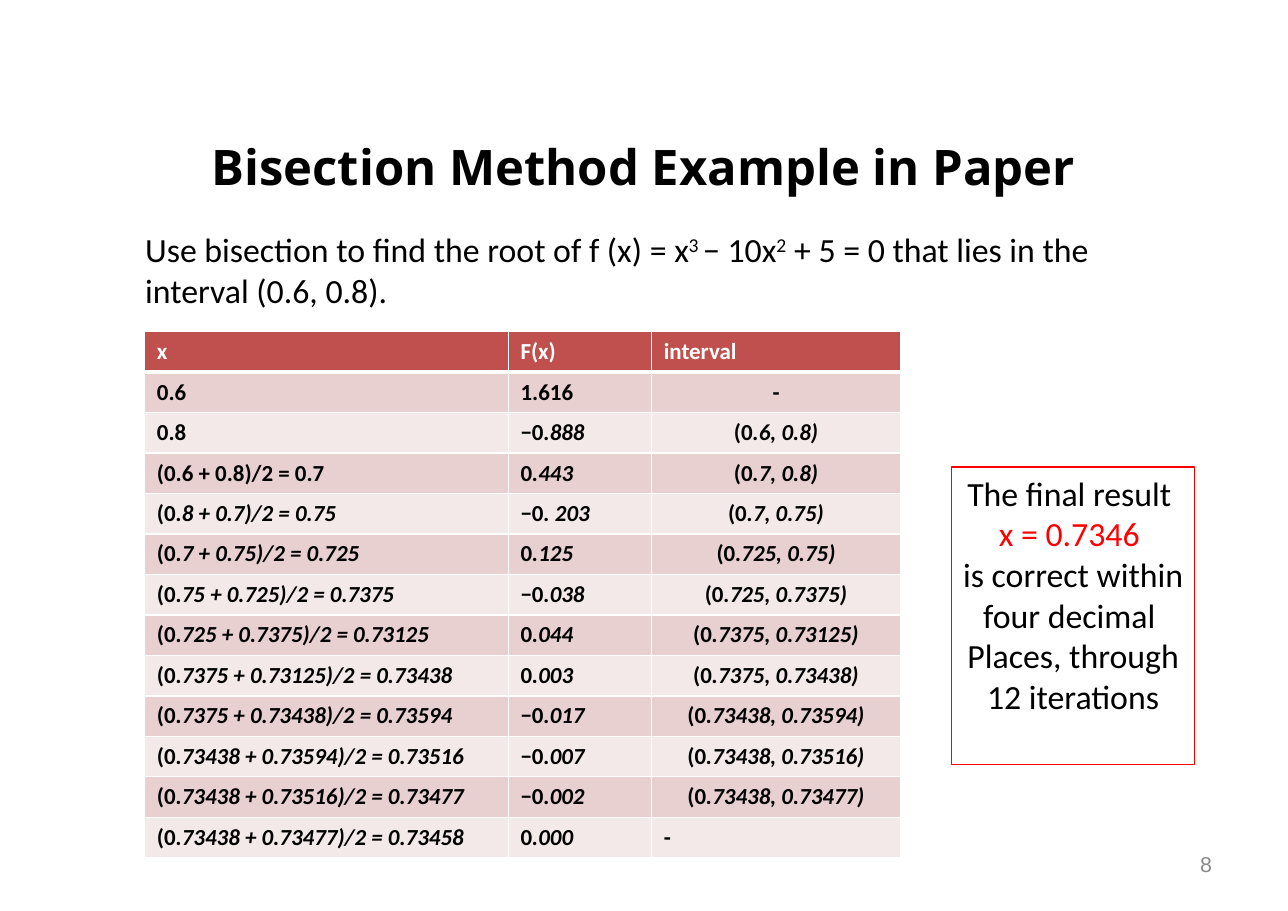
from lxml.etree import SubElement
from pptx import Presentation
from pptx.dml.color import RGBColor
from pptx.enum.shapes import MSO_SHAPE as Preset
from pptx.enum.text import MSO_ANCHOR as Anchor, PP_ALIGN as Align
from pptx.oxml.ns import qn
from pptx.util import Pt

TITLE = dict(name="Open Sans", size=Pt(32), bold=True, color="000000")
BODY = dict(name="Calibri", size=Pt(22.1), color="000000")
CELL = dict(name="Calibri", size=Pt(15), bold=True, color="000000")
PAGE = dict(name="Arial", size=Pt(14), color="898989")
HEADER = CELL | dict(color="FFFFFF")
RESULT = BODY | dict(color="FF0000")

COLUMN_WIDTHS = 237.6, 93.6, 162.7
ROW_HEIGHT = 26.46
HEADER_FILL = "C0504D"
BAND_FILLS = "F4E9E9", "E8D0D0"
UPRIGHT = {"0.6", "1.616", "0.8", "(0.6 + 0.8)/2 = 0.7"}
ITERATIONS = [
    ("x", "F(x)", "interval"),
    ("0.6", "1.616", "-"),
    ("0.8", "−0.888", "(0.6, 0.8)"),
    ("(0.6 + 0.8)/2 = 0.7", "0.443", "(0.7, 0.8)"),
    ("(0.8 + 0.7)/2 = 0.75", "−0. 203", "(0.7, 0.75)"),
    ("(0.7 + 0.75)/2 = 0.725", "0.125", "(0.725, 0.75)"),
    ("(0.75 + 0.725)/2 = 0.7375", "−0.038", "(0.725, 0.7375)"),
    ("(0.725 + 0.7375)/2 = 0.73125", "0.044", "(0.7375, 0.73125)"),
    ("(0.7375 + 0.73125)/2 = 0.73438", "0.003", "(0.7375, 0.73438)"),
    ("(0.7375 + 0.73438)/2 = 0.73594", "−0.017", "(0.73438, 0.73594)"),
    ("(0.73438 + 0.73594)/2 = 0.73516", "−0.007", "(0.73438, 0.73516)"),
    ("(0.73438 + 0.73516)/2 = 0.73477", "−0.002", "(0.73438, 0.73477)"),
    ("(0.73438 + 0.73477)/2 = 0.73458", "0.000", "-"),
]


def rgb(value):
    return RGBColor.from_string(value)


def apply(target, values):
    for attribute, value in values.items():
        setattr(target, attribute, value)


def cell_runs(text, style):
    if text in UPRIGHT or "." not in text:
        return [(text, style)]
    lead, dot, digits = text.partition(".")
    return [(lead, style), (dot + digits, style | dict(italic=True))]


class SlideBuilder:
    def __init__(self, slide, margins):
        self.slide = slide
        self.margins = margins

    def add_paragraphs(self, frame, paragraphs, align=Align.LEFT):
        for index, runs in enumerate(paragraphs):
            paragraph = frame.add_paragraph() if index else frame.paragraphs[0]
            paragraph.alignment = align
            for text, style in runs:
                self.add_run(paragraph, text, dict(style))

    def add_run(self, paragraph, text, style):
        run = paragraph.add_run()
        run.text = text
        run.font.color.rgb = rgb(style.pop("color"))
        baseline = style.pop("baseline", None)
        apply(run.font, style)
        if baseline:
            run.font._element.set("baseline", baseline)

    def text(self, box, paragraphs, align=Align.LEFT, **frame_format):
        frame = self.slide.shapes.add_textbox(*map(Pt, box)).text_frame
        apply(frame, dict(word_wrap=True) | frame_format)
        self.add_paragraphs(frame, paragraphs, align)

    def outlined_box(self, box, paragraphs, color):
        shape = self.slide.shapes.add_shape(Preset.RECTANGLE, *map(Pt, box))
        shape.shadow.inherit = False
        shape.fill.background()
        shape.line.color.rgb = rgb(color)
        shape.line.width = Pt(0.75)
        apply(shape.text_frame, dict(word_wrap=True, vertical_anchor=Anchor.TOP))
        self.add_paragraphs(shape.text_frame, paragraphs, Align.CENTER)

    def border(self, cell, side, width):
        line = SubElement(cell._tc.get_or_add_tcPr(), qn(f"a:ln{side}"), w=str(Pt(width)))
        fill = SubElement(line, qn("a:solidFill"))
        SubElement(fill, qn("a:srgbClr"), val="FFFFFF")

    def table(self, left, top, rows):
        size = sum(COLUMN_WIDTHS), ROW_HEIGHT * len(rows)
        frame = self.slide.shapes.add_table(
            len(rows), len(COLUMN_WIDTHS), *map(Pt, (left, top, *size)))
        grid = frame.table
        for column, width in zip(grid.columns, COLUMN_WIDTHS):
            column.width = Pt(width)
        for r, values in enumerate(rows):
            grid.rows[r].height = Pt(ROW_HEIGHT)
            for c, value in enumerate(values):
                centered = c == 2 and 0 < r < len(rows) - 1
                self.cell(grid.cell(r, c), value, r, centered)

    def cell(self, cell, value, row, centered):
        for side in "LRTB":
            self.border(cell, side, 3 if row == 0 and side == "B" else 1)
        cell.fill.solid()
        cell.fill.fore_color.rgb = rgb(BAND_FILLS[row % 2] if row else HEADER_FILL)
        apply(cell, self.margins)
        self.add_paragraphs(cell.text_frame, [cell_runs(value, CELL if row else HEADER)],
                            Align.CENTER if centered else Align.LEFT)


def main():
    deck = Presentation()
    apply(deck, dict(slide_width=Pt(841.68), slide_height=Pt(595.44)))
    margins = dict(margin_left=Pt(8), margin_right=Pt(8),
                   margin_top=Pt(4), margin_bottom=Pt(4))
    page = SlideBuilder(deck.slides.add_slide(deck.slide_layouts[6]), margins)
    power = BODY | dict(baseline="30000")

    page.text((603.4, 552.2, 196.6, 31.7), [[("8", PAGE)]], Align.RIGHT, **margins)
    page.text((87.8, 146.2, 696.2, 60.5), [[
        ("Use bisection to find the root of f (x) = x", BODY),
        ("3 ", power),
        ("− 10x", BODY),
        ("2", power),
        (" + 5 = 0 that lies in the interval (0.6, 0.8).", BODY),
    ]])
    page.table(94.6, 216.8, ITERATIONS)
    page.outlined_box((622.1, 305.3, 158.4, 194.4), [
        [("The final result ", BODY)],
        [("x = 0.7346 ", RESULT)],
        [("is correct within four decimal ", BODY)],
        [("Places, through 12 iterations", BODY)],
    ], "FF0000")
    page.text((102.2, 59, 637.2, 99.4), [[("Bisection Method Example in Paper", TITLE)]],
              Align.CENTER, vertical_anchor=Anchor.MIDDLE, **margins)
    deck.save("out.pptx")


if __name__ == "__main__":
    main()
